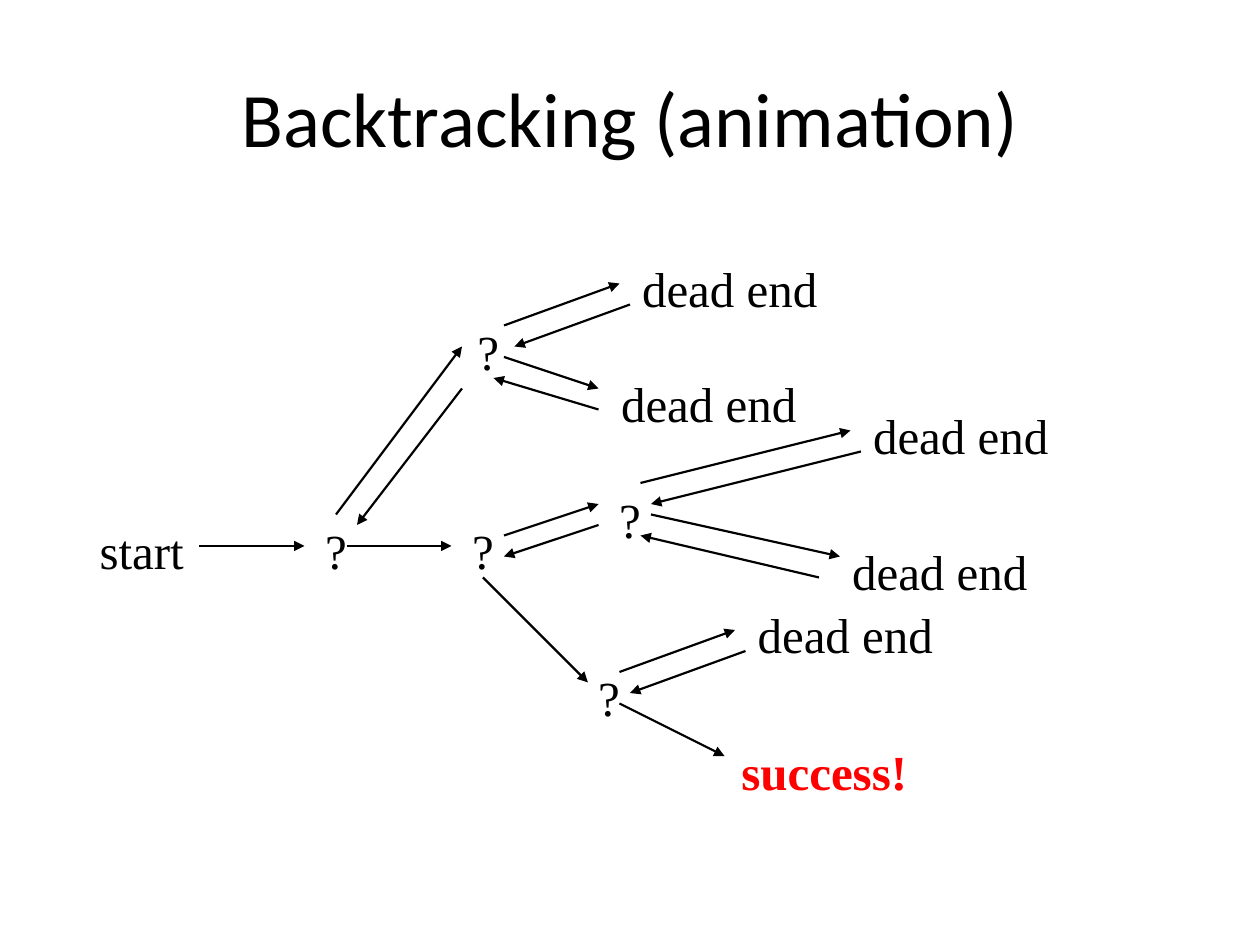
from typing import NamedTuple

from lxml.etree import SubElement
from pptx import Presentation
from pptx.dml.color import RGBColor
from pptx.enum.shapes import MSO_CONNECTOR
from pptx.enum.text import MSO_ANCHOR, MSO_AUTO_SIZE, PP_ALIGN
from pptx.oxml.ns import qn
from pptx.slide import Slide
from pptx.util import Cm, Pt

COLOURS = {"ink": "000000", "success": "FF0000"}
CELL = 2.54 / 12
LABEL_HEIGHT = 6


class Label(NamedTuple):
    text: str
    left: int
    top: int
    width: int
    colour: str = "ink"
    bold: bool = False


class Arrow(NamedTuple):
    start_x: int
    start_y: int
    end_x: int
    end_y: int


LABELS = [
    Label("start", 7, 49, 13),
    Label("?", 29, 49, 6),
    Label("?", 44, 30, 5),
    Label("dead end", 59, 24, 21),
    Label("dead end", 57, 35, 21),
    Label("?", 43, 49, 6),
    Label("?", 57, 46, 6),
    Label("dead end", 81, 38, 21),
    Label("dead end", 79, 51, 21),
    Label("?", 55, 63, 6),
    Label("dead end", 70, 57, 21),
    Label("success!", 68, 70, 21, "success", True),
]

FORWARD_ARROWS = [
    Arrow(19, 52, 29, 52),
    Arrow(32, 49, 44, 33),
    Arrow(48, 31, 59, 27),
    Arrow(48, 34, 57, 37),
    Arrow(33, 52, 43, 52),
    Arrow(48, 51, 57, 48),
    Arrow(61, 46, 81, 41),
    Arrow(62, 49, 80, 53),
    Arrow(46, 55, 56, 65),
    Arrow(59, 64, 70, 60),
    Arrow(59, 67, 69, 72),
]

BACKTRACK_ARROWS = [
    Arrow(60, 29, 49, 33),
    Arrow(57, 39, 47, 36),
    Arrow(44, 37, 34, 50),
    Arrow(57, 50, 48, 53),
    Arrow(82, 43, 62, 48),
    Arrow(78, 55, 61, 51),
    Arrow(71, 62, 60, 66),
]


def grid(cells: float) -> Cm:
    """Convert grid cells to a length."""
    return Cm(cells * CELL)


def add_text(page: Slide, text: str, *, left: float, top: float, width: float,
             height: float, font: str, size: int, colour: str = "ink",
             bold: bool = False, anchor: MSO_ANCHOR = MSO_ANCHOR.TOP,
             grow: bool = False, percent_before: int = 0) -> None:
    """Add a centred text box placed in grid cells."""
    box = page.shapes.add_textbox(grid(left), grid(top), grid(width), grid(height))
    frame = box.text_frame
    frame.word_wrap = True
    frame.vertical_anchor = anchor
    frame.auto_size = MSO_AUTO_SIZE.SHAPE_TO_FIT_TEXT if grow else MSO_AUTO_SIZE.NONE
    para = frame.paragraphs[0]
    para.alignment = PP_ALIGN.CENTER
    if percent_before:
        spacing = SubElement(para._p.get_or_add_pPr(), qn("a:spcBef"))
        SubElement(spacing, qn("a:spcPct"), val=str(percent_before * 1000))
    span = para.add_run()
    span.text = text
    span.font.name = font
    span.font.size = Pt(size)
    span.font.bold = bold
    span.font.color.rgb = RGBColor.from_string(COLOURS[colour])


def add_label(page: Slide, label: Label) -> None:
    """Add one node of the search tree."""
    add_text(page, label.text, left=label.left, top=label.top, width=label.width,
             height=LABEL_HEIGHT, font="Times New Roman", size=28,
             colour=label.colour, bold=label.bold, grow=True, percent_before=50)


def add_arrow(page: Slide, arrow: Arrow) -> None:
    """Add one straight arrow with a triangular head."""
    connector = page.shapes.add_connector(MSO_CONNECTOR.STRAIGHT, *map(grid, arrow))
    connector.line.width = Pt(1.25)
    connector.line.color.rgb = RGBColor.from_string(COLOURS["ink"])
    SubElement(connector.line._get_or_add_ln(), qn("a:tailEnd"), type="triangle")
    SubElement(connector._element.spPr, qn("a:effectLst"))


def main() -> None:
    """Build and save the deck."""
    deck = Presentation()
    deck.slide_width, deck.slide_height = Cm(25.4), Cm(19.05)
    page = deck.slides.add_slide(deck.slide_layouts[6])
    add_text(page, "Backtracking (animation)", left=6, top=3.6, width=108,
             height=15, font="Calibri", size=44, anchor=MSO_ANCHOR.MIDDLE)
    for label in LABELS:
        add_label(page, label)
    for arrow in FORWARD_ARROWS + BACKTRACK_ARROWS:
        add_arrow(page, arrow)
    deck.save("out.pptx")


if __name__ == "__main__":
    main()
